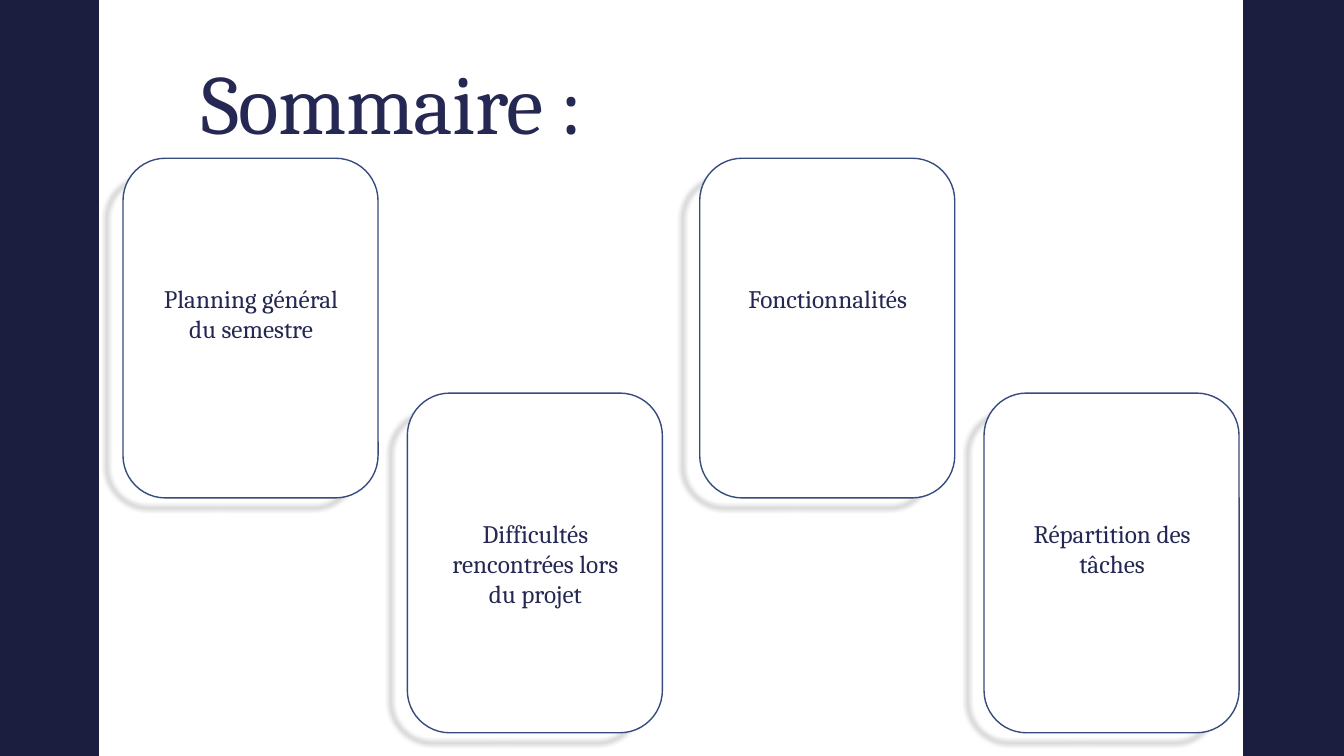
from lxml.etree import SubElement
from pptx import Presentation
from pptx.dml.color import RGBColor
from pptx.enum.shapes import MSO_SHAPE
from pptx.enum.text import MSO_ANCHOR, PP_ALIGN
from pptx.oxml.ns import qn
from pptx.util import Inches, Pt

NAVY, INK, OUTLINE = "1B1E3E", "242852", "374B7F"
CARD_WIDTH, CARD_HEIGHT = 2.53, 3.37
TOPICS = [
    (1.22, 1.57, "Planning général du semestre"),
    (4.04, 3.9, "Difficultés rencontrées lors du projet"),
    (6.94, 1.57, "Fonctionnalités"),
    (9.76, 3.9, "Répartition des tâches"),
]


def color(value):
    """Turn a hex string into a colour."""
    return RGBColor.from_string(value)


def apply_format(target, values):
    """Set every attribute named in a dict of format values."""
    for name, value in values.items():
        setattr(target, name, value)


def style_font(paragraph, size):
    """Give a paragraph the slide's typeface and ink colour."""
    apply_format(paragraph.font, {"name": "Cambria", "size": Pt(size)})
    paragraph.font.color.rgb = color(INK)


def add_side_bar(slide, left, width):
    """Draw a full-height navy bar."""
    bar = slide.shapes.add_shape(
        MSO_SHAPE.RECTANGLE, Inches(left), 0, Inches(width), Inches(7.5))
    bar.shadow.inherit = False
    bar.fill.solid()
    bar.fill.fore_color.rgb = color(NAVY)
    bar.line.fill.background()


def set_title(slide, left, top, width, height):
    """Place and format the title placeholder."""
    title = slide.shapes.title
    apply_format(title, {"left": Inches(left), "top": Inches(top),
                         "width": Inches(width), "height": Inches(height)})
    title.text_frame.text = "Sommaire :"
    apply_format(title.text_frame, {"vertical_anchor": MSO_ANCHOR.MIDDLE,
                                    "word_wrap": True})
    paragraph = title.text_frame.paragraphs[0]
    apply_format(paragraph, {"alignment": PP_ALIGN.LEFT, "line_spacing": 0.85,
                             "space_after": Pt(6)})
    style_font(paragraph, 60)
    paragraph.runs[0].font._element.set("spc", "-50")


def add_card_shadow(card):
    """Cast a soft shadow to the lower left of a card."""
    effects = SubElement(card.element.spPr, qn("a:effectLst"))
    shadow = SubElement(effects, qn("a:outerShdw"), {
        "blurRad": str(Pt(4)), "dist": str(Pt(18)), "dir": "8640000",
        "sx": "97000", "sy": "97000", "algn": "ctr", "rotWithShape": "0"})
    black = SubElement(shadow, qn("a:srgbClr"), val="000000")
    SubElement(black, qn("a:alpha"), val="65000")


def add_topic(slide, left, top, text):
    """Draw a rounded card filled with the background, and its label."""
    group = slide.shapes.add_group_shape()
    card = group.shapes.add_shape(
        MSO_SHAPE.ROUNDED_RECTANGLE, Inches(left), Inches(top),
        Inches(CARD_WIDTH), Inches(CARD_HEIGHT))
    card.element.set("useBgFill", "1")
    card.line.color.rgb = color(OUTLINE)
    card.line.width = Pt(1)
    add_card_shadow(card)
    label = group.shapes.add_textbox(
        Inches(left + 0.23), Inches(top + 1.19), Inches(2.08), Inches(1.01))
    label.text_frame.word_wrap = True
    label.text_frame.text = text
    paragraph = label.text_frame.paragraphs[0]
    paragraph.alignment = PP_ALIGN.CENTER
    style_font(paragraph, 18)


def build_summary(presentation):
    """Build the summary slide."""
    slide = presentation.slides.add_slide(presentation.slide_layouts[5])
    slide.background.fill.solid()
    slide.background.fill.fore_color.rgb = color("FFFFFF")
    set_title(slide, 1.9, 0.03, 4.92, 2.1)
    add_side_bar(slide, 0, 0.98)
    add_side_bar(slide, 12.33, 1)
    for left, top, text in TOPICS:
        add_topic(slide, left, top, text)


def main():
    """Create and save the presentation."""
    presentation = Presentation()
    apply_format(presentation, {"slide_width": Inches(13.33),
                                "slide_height": Inches(7.5)})
    build_summary(presentation)
    presentation.save("out.pptx")


if __name__ == "__main__":
    main()
